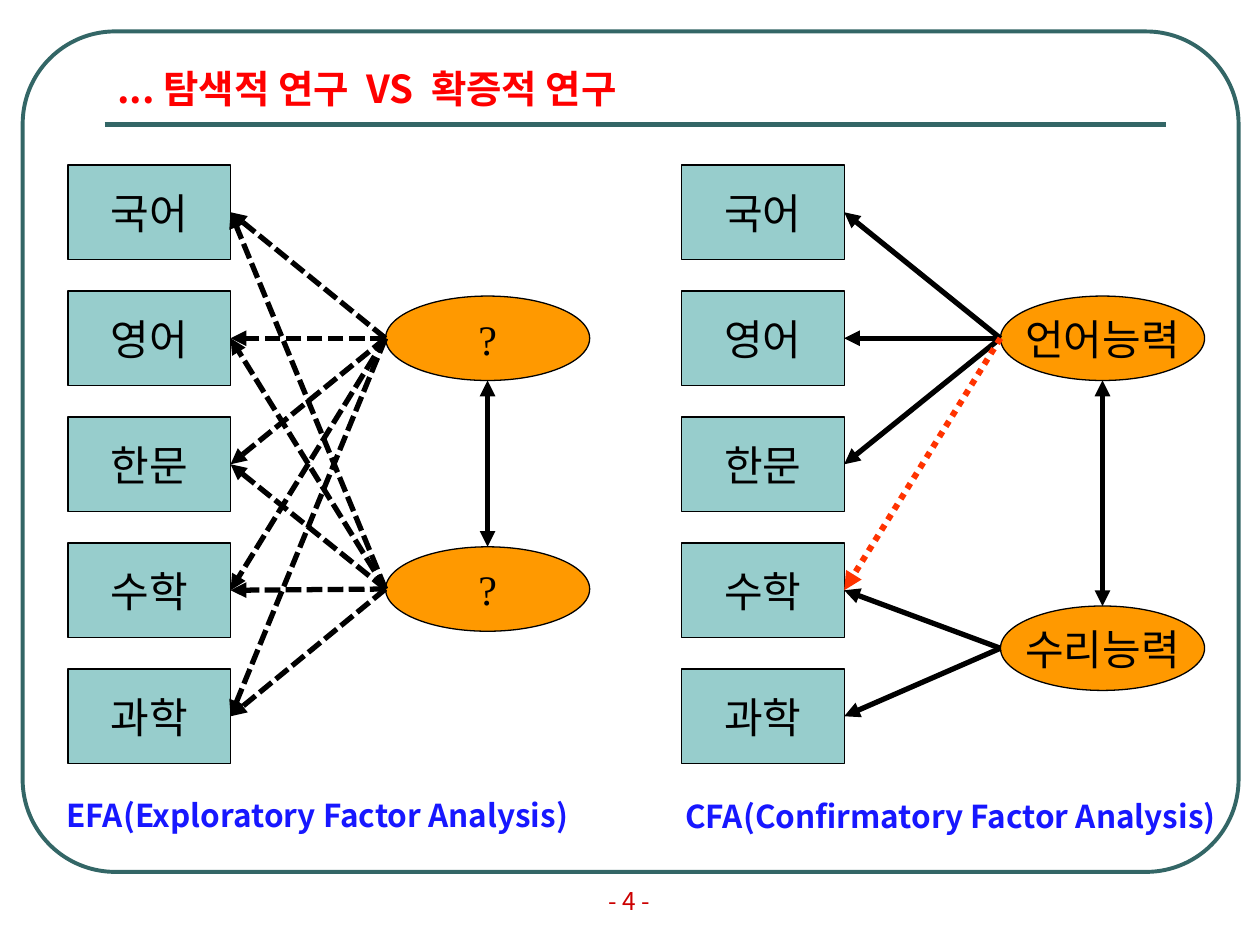
from lxml import etree
from pptx import Presentation
from pptx.dml.color import RGBColor
from pptx.enum import dml, shapes, text
from pptx.oxml.ns import qn
from pptx.util import Inches, Pt

COLORS = {
    "frame": "336666", "title": "FF0000", "page": "CC0000", "box": "97CDCC",
    "factor": "FF9900", "ink": "000000", "cross": "FF3300", "caption": "1717FF",
}
SANS, SERIF = "Noto Sans CJK KR", "Times New Roman"
SUBJECTS = ["국어", "영어", "한문", "수학", "과학"]
BOX_W, BOX_H, BOX_STEP = 1.29, 0.75, 1.0
OVAL_W, OVAL_H = 1.62, 0.67


def rgb(name):
    return RGBColor.from_string(COLORS[name])


def write(sp, words, size, color, font=SANS, bold=False,
          align=text.PP_ALIGN.LEFT, anchor=text.MSO_ANCHOR.TOP, wrap=True):
    tf = sp.text_frame
    tf.text = words
    tf.word_wrap = wrap
    tf.auto_size = text.MSO_AUTO_SIZE.NONE
    tf.vertical_anchor = anchor
    p = tf.paragraphs[0]
    p.alignment = align
    r = p.runs[0]
    r.font.name, r.font.size, r.font.bold = font, Pt(size), bold
    r.font.color.rgb = rgb(color)
    ea = etree.SubElement(r._r.get_or_add_rPr(), qn("a:ea"))
    ea.set("typeface", SANS)


def add_node(s, kind, x, y, w, h, fill, words):
    sp = s.shapes.add_shape(kind, Inches(x), Inches(y), Inches(w), Inches(h))
    sp.shadow.inherit = False
    sp.fill.solid()
    sp.fill.fore_color.rgb = rgb(fill)
    sp.line.color.rgb = rgb("ink")
    sp.line.width = Pt(0.75)
    write(sp, words, 24, "ink", SERIF, align=text.PP_ALIGN.CENTER,
          anchor=text.MSO_ANCHOR.MIDDLE, wrap=False)
    return sp


def add_line(s, x1, y1, x2, y2, color="ink", width=3, dash=None, ends=()):
    c = s.shapes.add_connector(shapes.MSO_CONNECTOR.STRAIGHT,
                               Inches(x1), Inches(y1), Inches(x2), Inches(y2))
    c.line.color.rgb = rgb(color)
    c.line.width = Pt(width)
    if dash:
        c.line.dash_style = dash
    ln = c.line._get_or_add_ln()
    for end in ends:
        etree.SubElement(ln, qn(f"a:{end}")).set("type", "triangle")
    etree.SubElement(c._element.spPr, qn("a:effectLst"))
    return c


def add_frame(s, x, y, w, h):
    sp = s.shapes.add_shape(shapes.MSO_SHAPE.ROUNDED_RECTANGLE,
                            Inches(x), Inches(y), Inches(w), Inches(h))
    sp.adjustments[0] = 0.11
    sp.shadow.inherit = False
    sp.fill.background()
    sp.line.color.rgb = rgb("frame")
    sp.line.width = Pt(2.25)


def add_text(s, x, y, w, h, words, size, color, **style):
    sp = s.shapes.add_textbox(Inches(x), Inches(y), Inches(w), Inches(h))
    write(sp, words, size, color, **style)


def add_heading(s, x, y, w, h, words):
    sp = s.shapes.title
    sp.left, sp.top, sp.width, sp.height = map(Inches, (x, y, w, h))
    write(sp, words, 22, "title", bold=True, anchor=text.MSO_ANCHOR.BOTTOM)
    add_line(s, x, y + h + 0.06, x + w, y + h + 0.06, "frame")


def add_model(s, x, y, oval_dx, factors, paths, dash=None, cross=None):
    boxes = [add_node(s, shapes.MSO_SHAPE.RECTANGLE, x, y + i * BOX_STEP,
                      BOX_W, BOX_H, "box", subject)
             for i, subject in enumerate(SUBJECTS)]
    oval_x = x + oval_dx
    for name, dy in factors:
        add_node(s, shapes.MSO_SHAPE.OVAL, oval_x, y + dy,
                 OVAL_W, OVAL_H, "factor", name)

    def add_path(factor, subject, **style):
        start_y = y + factors[factor][1] + OVAL_H / 2
        end_y = y + subject * BOX_STEP + BOX_H / 2
        c = add_line(s, oval_x, start_y, x + BOX_W, end_y,
                     ends=["tailEnd"], **style)
        c.end_connect(boxes[subject], 3)

    for factor, subjects in enumerate(paths):
        for subject in subjects:
            add_path(factor, subject, dash=dash)
    mid_x = oval_x + OVAL_W / 2
    add_line(s, mid_x, y + factors[0][1] + OVAL_H, mid_x, y + factors[1][1],
             ends=["headEnd", "tailEnd"])
    if cross:
        add_path(*cross, color="cross", width=3.5,
                 dash=dml.MSO_LINE.ROUND_DOT)


def main():
    prs = Presentation()
    prs.slide_width, prs.slide_height = Inches(10), Inches(7.5)
    s = prs.slides.add_slide(prs.slide_layouts[5])
    add_frame(s, 0.18, 0.25, 9.65, 6.67)
    add_heading(s, 0.83, 0.36, 8.42, 0.57, "... 탐색적 연구  VS  확증적 연구")
    every = range(len(SUBJECTS))
    add_model(s, 0.54, 1.31, 2.52, [("?", 1.04), ("?", 3.03)],
              [every, every], dash=dml.MSO_LINE.SQUARE_DOT)
    add_model(s, 5.41, 1.31, 2.53, [("언어능력", 1.04), ("수리능력", 3.5)],
              [[0, 1, 2], [3, 4]], cross=(0, 3))
    add_text(s, 0.43, 6.27, 4.47, 0.4, "EFA(Exploratory Factor Analysis)",
             18, "caption", bold=True)
    add_text(s, 5.34, 6.28, 4.47, 0.4, "CFA(Confirmatory Factor Analysis)",
             18, "caption", bold=True)
    add_text(s, 4.12, 6.9, 1.75, 0.5, "- 4 -", 14, "page",
             align=text.PP_ALIGN.CENTER, anchor=text.MSO_ANCHOR.MIDDLE)
    prs.save("out.pptx")


if __name__ == "__main__":
    main()
